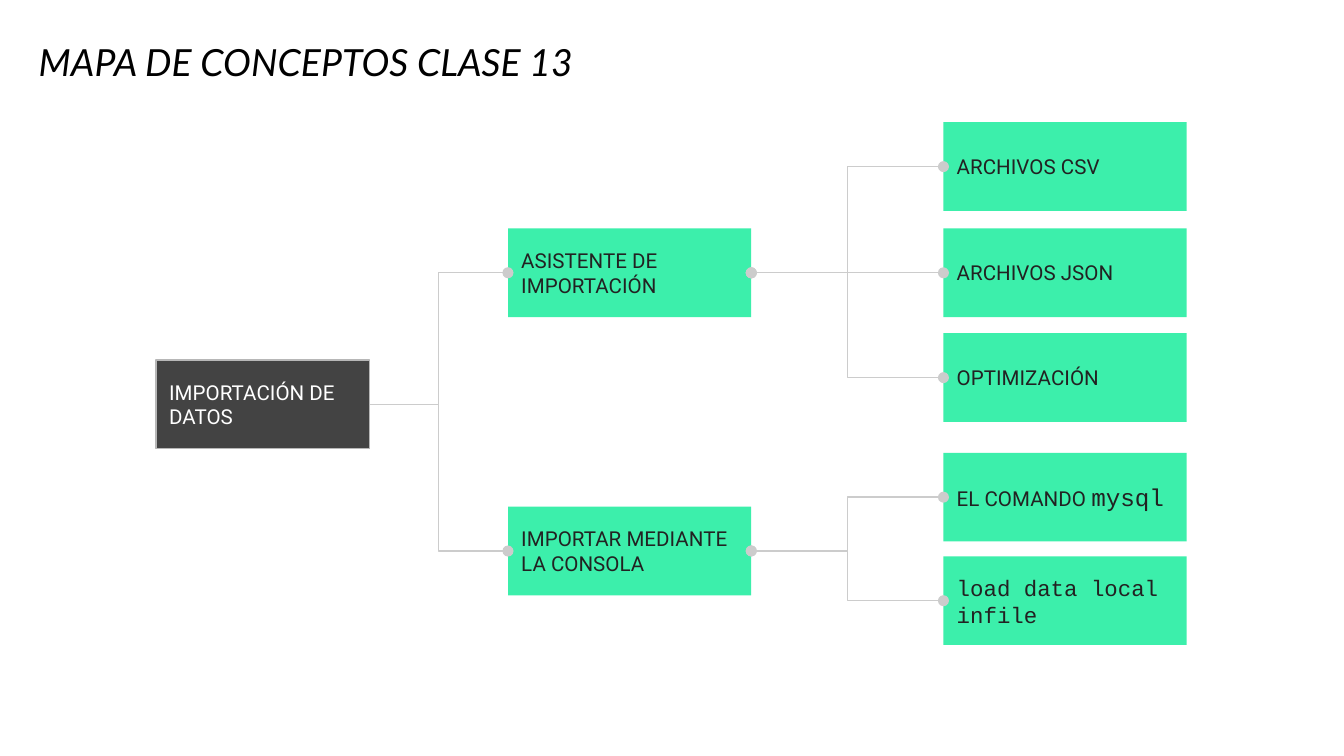
from lxml.etree import SubElement as Sub
from pptx import Presentation
from pptx.dml.color import RGBColor as RGB
from pptx.enum.shapes import MSO_CONNECTOR as Link, MSO_SHAPE as Shape
from pptx.enum.text import MSO_ANCHOR as Anchor, PP_ALIGN as Align
from pptx.oxml.ns import qn
from pptx.util import Inches, Pt

MINT, DARK, GRAY, INK = "3CEFAB", "434343", "CCCCCC", "222222"


def hue(code):
    return RGB.from_string(code)


def write(para, text, face, size, code):
    run = para.add_run()
    run.text = text
    run.font.name = face
    run.font.size = Pt(size)
    run.font.color.rgb = hue(code)
    return run


deck = Presentation()
deck.slide_width = Inches(10)
deck.slide_height = Inches(10 * 9 / 16)
slide = deck.slides.add_slide(deck.slide_layouts[6])

title = slide.shapes.add_textbox(Inches(0.19), Inches(0.22), Inches(8.26), Inches(0.46))
frame = title.text_frame
frame.word_wrap = True
frame.vertical_anchor = Anchor.BOTTOM
para = frame.paragraphs[0]
para.line_spacing = 0.9
write(para, "MAPA DE CONCEPTOS CLASE 13", "Lato", 20, "000000").font.italic = True

sans, mono = "Roboto", "Courier New"
nodes = [
    ("root", 1.16, 2.68, [("IMPORTACIÓN DE DATOS", sans, 11)]),
    ("wizard", 3.78, 1.7, [("ASISTENTE DE IMPORTACIÓN", sans, 11)]),
    ("console", 3.78, 3.77, [("IMPORTAR MEDIANTE LA CONSOLA", sans, 11)]),
    ("csv", 7.02, 0.91, [("ARCHIVOS CSV", sans, 11)]),
    ("json", 7.02, 1.7, [("ARCHIVOS JSON", sans, 11)]),
    ("tuning", 7.02, 2.48, [("OPTIMIZACIÓN", sans, 11)]),
    ("mysql", 7.02, 3.37, [("EL COMANDO ", sans, 11), ("mysql", mono, 13)]),
    ("load", 7.02, 4.14, [("load data local infile", mono, 12)]),
]
boxes = {}
for name, left, top, runs in nodes:
    root = name == "root"
    width = 1.59 if root else 1.81
    box = slide.shapes.add_shape(
        Shape.RECTANGLE, Inches(left), Inches(top), Inches(width), Inches(0.66))
    box.shadow.inherit = False
    box.fill.solid()
    box.fill.fore_color.rgb = hue(DARK if root else MINT)
    if root:
        box.line.color.rgb = hue("B7B7B7")
        box.line.width = Pt(0.75)
    else:
        box.line.fill.background()
    frame = box.text_frame
    frame.word_wrap = True
    frame.vertical_anchor = Anchor.MIDDLE
    frame.margin_left = frame.margin_right = Inches(0.1)
    frame.margin_top = frame.margin_bottom = Inches(0.1)
    para = frame.paragraphs[0]
    para.alignment = Align.LEFT
    for text, face, size in runs:
        write(para, text, face, size, "FFFFFF" if root else INK)
    boxes[name] = box

tree = {
    "root": ["wizard", "console"],
    "wizard": ["csv", "json", "tuning"],
    "console": ["mysql", "load"],
}
for start, ends in tree.items():
    for end in ends:
        link = slide.shapes.add_connector(Link.ELBOW, 0, 0, 0, 0)
        link.begin_connect(boxes[start], 3)
        link.end_connect(boxes[end], 1)
        link.line.color.rgb = hue(GRAY)
        link.line.width = Pt(0.75)
        line = link.line._get_or_add_ln()
        if start != "root":
            Sub(line, qn("a:headEnd"), type="oval")
        Sub(line, qn("a:tailEnd"), type="oval")
        Sub(link._element.spPr, qn("a:effectLst"))

deck.save("out.pptx")
